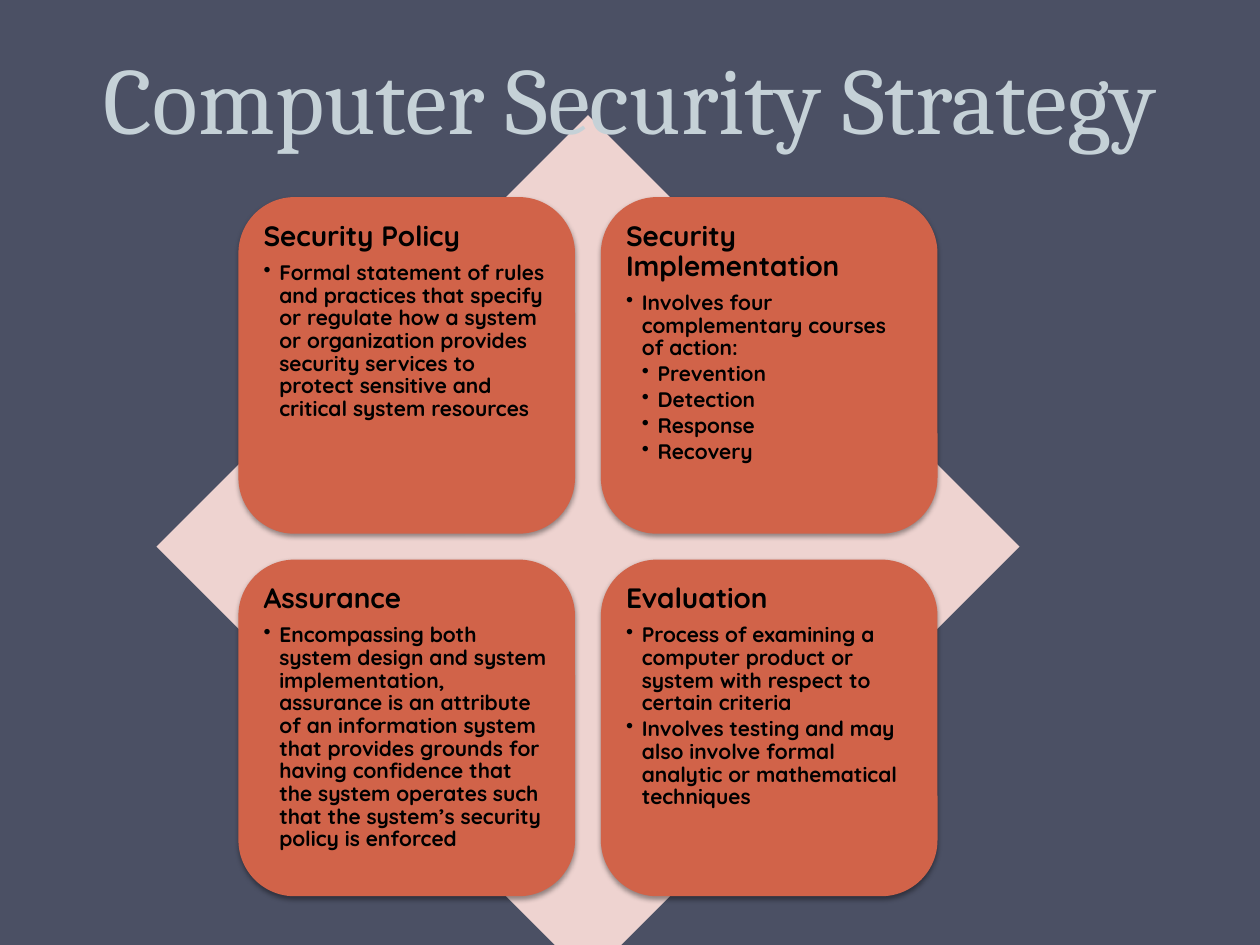
"""Builds the Computer Security Strategy slide: four cards on a diamond."""
import pptx
import pptx.dml.color
import pptx.enum.shapes
import pptx.enum.text
import pptx.oxml
import pptx.oxml.ns
import pptx.util
from lxml import etree

Pt = pptx.util.Pt
RGBColor = pptx.dml.color.RGBColor
MSO_SHAPE = pptx.enum.shapes.MSO_SHAPE
MSO_ANCHOR = pptx.enum.text.MSO_ANCHOR
PP_ALIGN = pptx.enum.text.PP_ALIGN
qn = pptx.oxml.ns.qn

BACKGROUND = RGBColor(0x4B, 0x50, 0x64)
TITLE_COLOR = RGBColor(0xC5, 0xD1, 0xD7)
DIAMOND_COLOR = RGBColor(0xEE, 0xD3, 0xD0)
CARD_COLOR = RGBColor(0xD1, 0x63, 0x49)
CARD_TEXT = RGBColor(0, 0, 0)

DIAMOND_LEFT, DIAMOND_TOP, DIAMOND_SIZE = 89.4, 65.8, 493.2
CARD_SIZE = 0.39 * DIAMOND_SIZE
CARD_MARGIN = 0.095 * DIAMOND_SIZE
CARD_PITCH = 0.42 * DIAMOND_SIZE
BULLET_INDENT = 9

SHADOW = (
    '<a:effectLst xmlns:a="http://schemas.openxmlformats.org/drawingml/2006/main">'
    '<a:outerShdw blurRad="39370" dist="20320" dir="5400000" rotWithShape="0">'
    '<a:srgbClr val="000000"><a:alpha val="38000"/></a:srgbClr>'
    '</a:outerShdw></a:effectLst>'
)

CARDS = [
    ("Security Policy", [
        (1, "Formal statement of rules and practices that specify or regulate how a system "
            "or organization provides security services to protect sensitive and critical "
            "system resources"),
    ]),
    ("Security Implementation", [
        (1, "Involves four complementary courses of action:"),
        (2, "Prevention"),
        (2, "Detection"),
        (2, "Response"),
        (2, "Recovery"),
    ]),
    ("Assurance", [
        (1, "Encompassing both system design and system implementation, assurance is an "
            "attribute of an information system that provides grounds for having confidence "
            "that the system operates such that the system’s security policy is enforced"),
    ]),
    ("Evaluation", [
        (1, "Process of examining a computer product or system with respect to certain "
            "criteria"),
        (1, "Involves testing and may also involve formal analytic or mathematical "
            "techniques"),
    ]),
]


class SlideBuilder:
    """Holds the style and the current slide."""

    title_font = "Cambria"
    card_font = "Quicksand"

    def __init__(self, slide):
        self.slide = slide
        slide.background.fill.solid()
        slide.background.fill.fore_color.rgb = BACKGROUND

    def set_font(self, paragraph, name, size, color, bold):
        font = paragraph.font
        font.name, font.size, font.bold = name, Pt(size), bold
        font.color.rgb = color

    def shape(self, preset, left, top, size, color):
        shape = self.slide.shapes.add_shape(preset, Pt(left), Pt(top), Pt(size), Pt(size))
        shape.shadow.inherit = False
        shape.fill.solid()
        shape.fill.fore_color.rgb = color
        shape.line.fill.background()
        return shape

    def paragraph(self, paragraph, text, size, level=0):
        paragraph.text = text
        paragraph.level = level
        paragraph.alignment = PP_ALIGN.LEFT
        paragraph.line_spacing = 0.9
        paragraph.space_after = Pt(size * (0.15 if level else 0.35))
        if level:
            properties = paragraph._p.get_or_add_pPr()
            properties.set("marL", str(Pt(BULLET_INDENT * level)))
            properties.set("indent", str(-Pt(BULLET_INDENT)))
            etree.SubElement(properties, qn("a:buChar")).set("char", "•")
        self.set_font(paragraph, self.card_font, size, CARD_TEXT, True)

    def card(self, left, top, heading, points):
        card = self.shape(MSO_SHAPE.ROUNDED_RECTANGLE, left, top, CARD_SIZE, CARD_COLOR)
        properties = card._element.spPr
        properties.replace(properties.find(qn("a:effectLst")), pptx.oxml.parse_xml(SHADOW))
        frame = card.text_frame
        frame.word_wrap = True
        frame.vertical_anchor = MSO_ANCHOR.TOP
        frame.margin_left = frame.margin_right = Pt(5)
        frame.margin_top = frame.margin_bottom = Pt(5)
        self.paragraph(frame.paragraphs[0], heading, 16)
        for level, point in points:
            self.paragraph(frame.add_paragraph(), point, 12, level)

    def title(self, text):
        title = self.slide.shapes.title
        title.left, title.top, title.width, title.height = Pt(0), Pt(1.5), Pt(720), Pt(90)
        frame = title.text_frame
        frame.text = text
        frame.word_wrap = True
        frame.auto_size = pptx.enum.text.MSO_AUTO_SIZE.NONE
        frame.vertical_anchor = MSO_ANCHOR.BOTTOM
        heading = frame.paragraphs[0]
        heading.alignment = PP_ALIGN.CENTER
        heading.line_spacing = Pt(58)
        self.set_font(heading, self.title_font, 54, TITLE_COLOR, False)
        self.slide.shapes._spTree.append(title._element)


def main():
    presentation = pptx.Presentation()
    presentation.slide_width, presentation.slide_height = Pt(720), Pt(540)
    builder = SlideBuilder(presentation.slides.add_slide(presentation.slide_layouts[5]))
    builder.shape(MSO_SHAPE.DIAMOND, DIAMOND_LEFT, DIAMOND_TOP, DIAMOND_SIZE, DIAMOND_COLOR)
    for index, (heading, points) in enumerate(CARDS):
        row, column = divmod(index, 2)
        builder.card(DIAMOND_LEFT + CARD_MARGIN + column * CARD_PITCH,
                     DIAMOND_TOP + CARD_MARGIN + row * CARD_PITCH, heading, points)
    builder.title("Computer Security Strategy")
    presentation.save("out.pptx")


if __name__ == "__main__":
    main()
